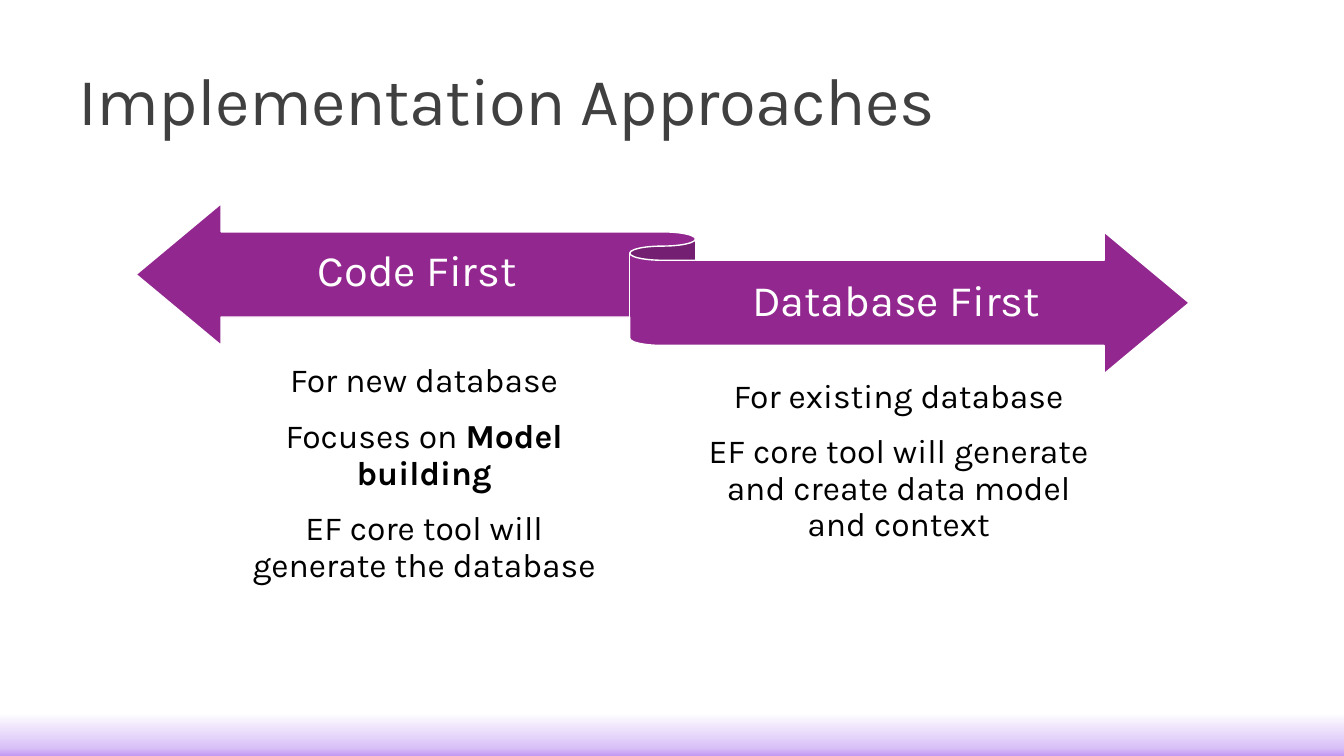
from copy import deepcopy

from pptx import Presentation
from pptx.dml.color import RGBColor
from pptx.enum.shapes import MSO_SHAPE
from pptx.enum.text import MSO_ANCHOR, PP_ALIGN
from pptx.util import Cm, Pt

RECTANGLE = MSO_SHAPE.RECTANGLE
RIBBON = MSO_SHAPE.LEFT_RIGHT_RIBBON
TOP, MIDDLE, BOTTOM = MSO_ANCHOR.TOP, MSO_ANCHOR.MIDDLE, MSO_ANCHOR.BOTTOM
LEFT, CENTER = PP_ALIGN.LEFT, PP_ALIGN.CENTER

SLIDE_WIDTH, SLIDE_HEIGHT = 33.87, 19.05
COLORS = {
    "title": "404040",
    "body": "000000",
    "ribbon": "92278F",
    "light": "FFFFFF",
}
FOOTER_STOPS = [(0, "C399F4"), (0.19, "D9C1F7"), (1, "FFFFFF")]

# Each text style: insets and indent in cm, font size and paragraph gaps in points.
STYLES = {
    "title": {
        "insets": (0.25, 0.13, 0.25, 0.13), "anchor": BOTTOM, "indent": 0,
        "paragraph": {"alignment": LEFT, "line_spacing": 0.85},
        "font": {"size": Pt(48)}, "color": "title", "tracking": -50,
    },
    "label": {
        "insets": (0, 0.3, 0, 0.33), "anchor": MIDDLE, "indent": 0,
        "paragraph": {"alignment": CENTER, "line_spacing": 0.9},
        "font": {"size": Pt(31)}, "color": "light", "tracking": 0,
    },
    "body": {
        "insets": (0, 0.13, 0, 0.13), "anchor": TOP, "indent": 0.25,
        "paragraph": {"alignment": CENTER, "line_spacing": 0.9,
                      "space_before": Pt(12), "space_after": Pt(2)},
        "font": {"size": Pt(24)}, "color": "body", "tracking": 0,
    },
}

# Each approach: label and its box, then paragraphs of (text, bold) and their box.
APPROACHES = [
    ("Code First", (6.78, 5.82, 7.47, 2.11),
     [[("For new database", False)],
      [("Focuses on ", False), ("Model building", True)],
      [("EF core tool will generate the database", False)]],
     (5.74, 9.04, 9.65, 7.11)),
    ("Database First", (18.01, 6.58, 9.14, 2.11),
     [[("For existing database", False)],
      [("EF core tool will generate and create data model and context", False)]],
     (17.25, 9.42, 10.54, 6.73)),
]


def apply(target, values):
    """Set each named attribute of the target."""
    for name, value in values.items():
        setattr(target, name, value)


class SlideBuilder:
    def __init__(self, slide, font):
        self.slide = slide
        self.font = font

    def shape(self, kind, box):
        shape = self.slide.shapes.add_shape(kind, *map(Cm, box))
        shape.shadow.inherit = False
        return shape

    def gradient_band(self, box, stops):
        """Add a borderless band whose first stop lies at the bottom."""
        band = self.shape(RECTANGLE, box)
        band.line.fill.background()
        band.fill.gradient()
        band.fill.gradient_angle = 90
        stop_list = band._element.spPr.xpath("a:gradFill/a:gsLst")[0]
        stop_list.append(deepcopy(stop_list[0]))
        for stop, (position, color) in zip(band.fill.gradient_stops, stops):
            stop.position = position
            stop.color.rgb = RGBColor.from_string(color)

    def ribbon(self, box):
        ribbon = self.shape(RIBBON, box)
        ribbon.fill.solid()
        ribbon.fill.fore_color.rgb = RGBColor.from_string(COLORS["ribbon"])
        ribbon.line.color.rgb = RGBColor.from_string(COLORS["light"])
        ribbon.line.width = Pt(1)

    def text(self, box, paragraphs, style_name):
        style = STYLES[style_name]
        frame = self.slide.shapes.add_textbox(*map(Cm, box)).text_frame
        sides = ("margin_left", "margin_top", "margin_right", "margin_bottom")
        apply(frame, dict(zip(sides, map(Cm, style["insets"]))))
        apply(frame, {"word_wrap": True, "vertical_anchor": style["anchor"]})
        for index, parts in enumerate(paragraphs):
            paragraph = frame.add_paragraph() if index else frame.paragraphs[0]
            apply(paragraph, style["paragraph"])
            paragraph._p.get_or_add_pPr().set("marL", str(Cm(style["indent"])))
            for wording, bold in parts:
                run = paragraph.add_run()
                run.text = wording
                apply(run.font, {"name": self.font, "bold": bold, **style["font"]})
                run.font.color.rgb = RGBColor.from_string(COLORS[style["color"]])
                run._r.get_or_add_rPr().set("spc", str(style["tracking"]))


def main():
    presentation = Presentation()
    presentation.slide_width = Cm(SLIDE_WIDTH)
    presentation.slide_height = Cm(SLIDE_HEIGHT)
    slide = presentation.slides.add_slide(presentation.slide_layouts[6])
    builder = SlideBuilder(slide, "Karla")

    footer_height = 1.09
    builder.gradient_band(
        (0, SLIDE_HEIGHT - footer_height, SLIDE_WIDTH, footer_height), FOOTER_STOPS)
    builder.text((1.73, 1.3, 30.56, 2.34),
                 [[("Implementation Approaches", False)]], "title")
    builder.ribbon((3.43, 5.13, 26.54, 4.29))
    for label, label_box, details, details_box in APPROACHES:
        builder.text(label_box, [[(label, False)]], "label")
        builder.text(details_box, details, "body")

    presentation.save("out.pptx")


if __name__ == "__main__":
    main()
